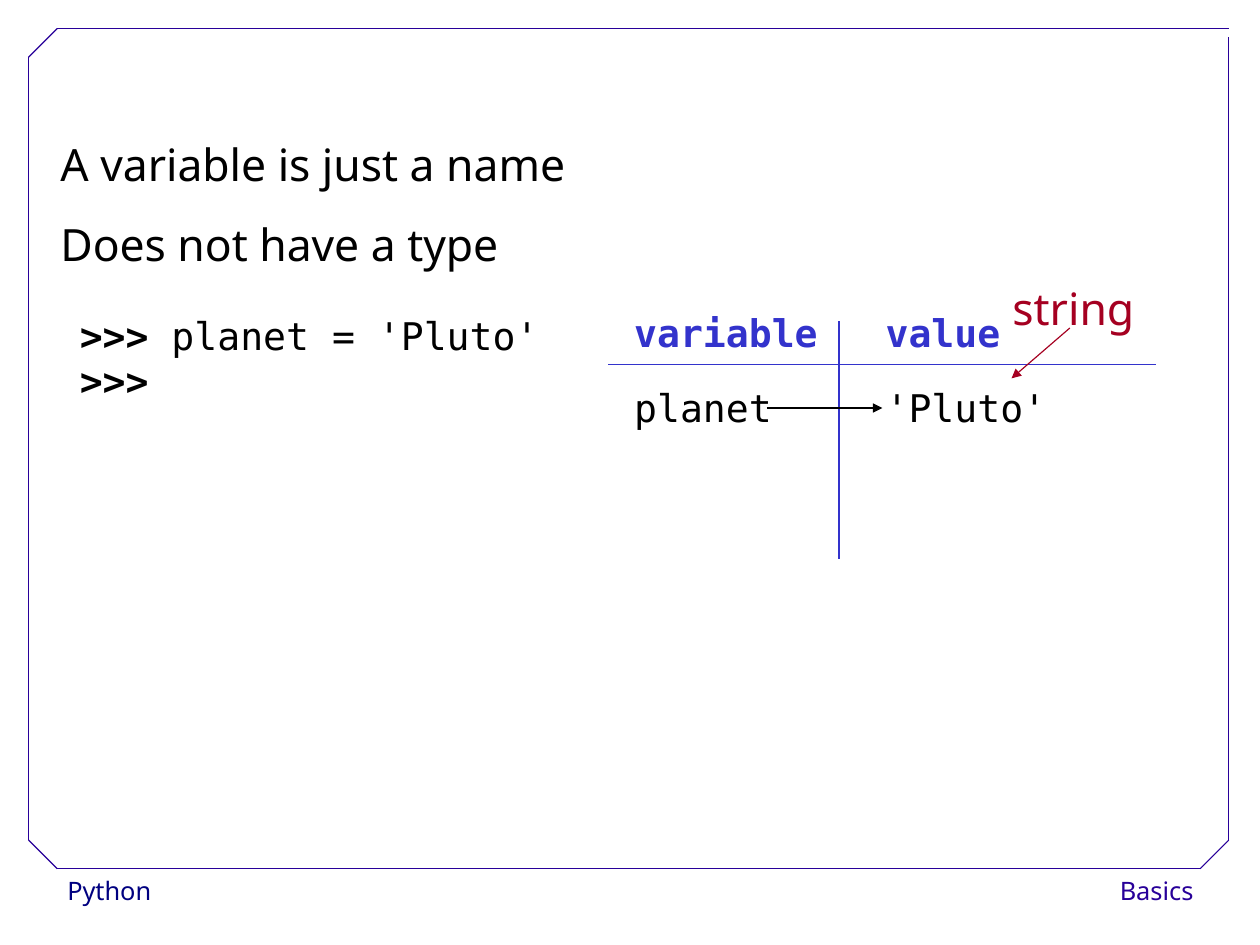
from itertools import pairwise

from lxml import etree
from pptx import Presentation
from pptx.dml.color import RGBColor
from pptx.enum.shapes import MSO_CONNECTOR
from pptx.enum.text import PP_ALIGN
from pptx.oxml.ns import qn
from pptx.util import Inches, Pt

COLORS = {
    "frame": "280099",
    "course": "000080",
    "text": "000000",
    "table": "3333CC",
    "type": "A50021",
}
SANS, MONO = "Noto Sans", "DejaVu Sans Mono"
CM_PER_INCH = 2.54


def add_text(page, box, lines, color, size=24, font=MONO, bold=None,
             spacing=1.0, align=PP_ALIGN.LEFT):
    """Add a text box; each line is a list of (text, bold) spans."""
    frame = page.shapes.add_textbox(*map(Inches, box)).text_frame
    frame.word_wrap = True
    for index, line in enumerate(lines):
        para = frame.paragraphs[0] if index == 0 else frame.add_paragraph()
        para.alignment = align
        para.line_spacing = spacing
        para.font.name = font
        para.font.size = Pt(size)
        para.font.bold = bold
        para.font.color.rgb = RGBColor.from_string(COLORS[color])
        for text, span_bold in line:
            span = para.add_run()
            span.text = text
            span.font.bold = span_bold


def add_line(page, start, end, color, arrow=False):
    line = page.shapes.add_connector(
        MSO_CONNECTOR.STRAIGHT, *map(Inches, (*start, *end)))
    line.line.color.rgb = RGBColor.from_string(COLORS[color])
    line.line.width = Pt(0.75)
    properties = line._element.spPr
    if arrow:
        etree.SubElement(properties.find(qn("a:ln")), qn("a:tailEnd"), type="triangle")
    etree.SubElement(properties, qn("a:effectLst"))


def add_frame(page, left, top, width, height, cut=0.25, gap=0.07):
    """Draw the border with three cut corners and an open top right corner."""
    right, bottom = left + width, top + height
    corners = [
        (right, top), (left + cut, top), (left, top + cut),
        (left, bottom - cut), (left + cut, bottom), (right - cut, bottom),
        (right, bottom - cut), (right, top + gap),
    ]
    for start, end in pairwise(corners):
        add_line(page, start, end, "frame")


def add_footer(page, left, top, width, height):
    """Put the course at the left end and the topic at the right end."""
    labels = [
        ("Python", "course", left, 2.15, PP_ALIGN.LEFT),
        ("Basics", "frame", left + width - 1.4, 1.4, PP_ALIGN.RIGHT),
    ]
    for text, color, x, label_width, align in labels:
        add_text(page, (x, top, label_width, height), [[(text, None)]], color,
                 16, SANS, spacing=1.02, align=align)


def add_statements(page, left, top, width, height):
    lines = ["A variable is just a name", "Does not have a type"]
    add_text(page, (left, top, width, height), [[(line, None)] for line in lines],
             "text", 28, SANS, spacing=1.5)


def add_session(page, left, top, width, height):
    prompt = (">>>", True)
    add_text(page, (left, top, width, height),
             [[prompt, (" planet = 'Pluto'", False)], [prompt]], "text")


def add_memory_diagram(page, left, top, width, height):
    """Draw the variable and value columns and the type label."""
    rule_y, divider_x = top + 0.38, left + 2.02
    columns = [("variable", "planet", left + 0.13), ("value", "'Pluto'", left + 2.33)]
    for heading, entry, x in columns:
        add_text(page, (x, top - 0.12, 1.85, 0.5), [[(heading, None)]], "table",
                 bold=True, spacing=0.93)
        add_text(page, (x, rule_y + 0.12, 1.85, 2.08), [[(entry, None)]], "text")
    add_line(page, (left, rule_y), (left + width, rule_y), "table")
    add_line(page, (divider_x, top), (divider_x, top + height), "table")
    add_line(page, (left + 1.39, top + 0.76), (left + 2.4, top + 0.76), "text", arrow=True)

    add_text(page, (left + 3.44, top - 0.63, 2.26, 0.8), [[("string", None)]],
             "type", 28, SANS, spacing=1.5)
    add_line(page, (left + 4.04, top + 0.06), (left + 3.53, top + 0.5), "type", arrow=True)


def main():
    deck = Presentation()
    deck.slide_width = Inches(28 / CM_PER_INCH)
    deck.slide_height = Inches(21 / CM_PER_INCH)
    page = deck.slides.add_slide(deck.slide_layouts[6])
    add_footer(page, 0.49, 7.6, 10.05, 0.4)
    add_frame(page, 0.25, 0.25, 10.5, 7.35)
    add_statements(page, 0.43, 0.92, 5.61, 1.5)
    add_session(page, 0.6, 2.68, 4.4, 3.21)
    add_memory_diagram(page, 5.32, 2.81, 4.79, 2.08)
    deck.save("out.pptx")


if __name__ == "__main__":
    main()
